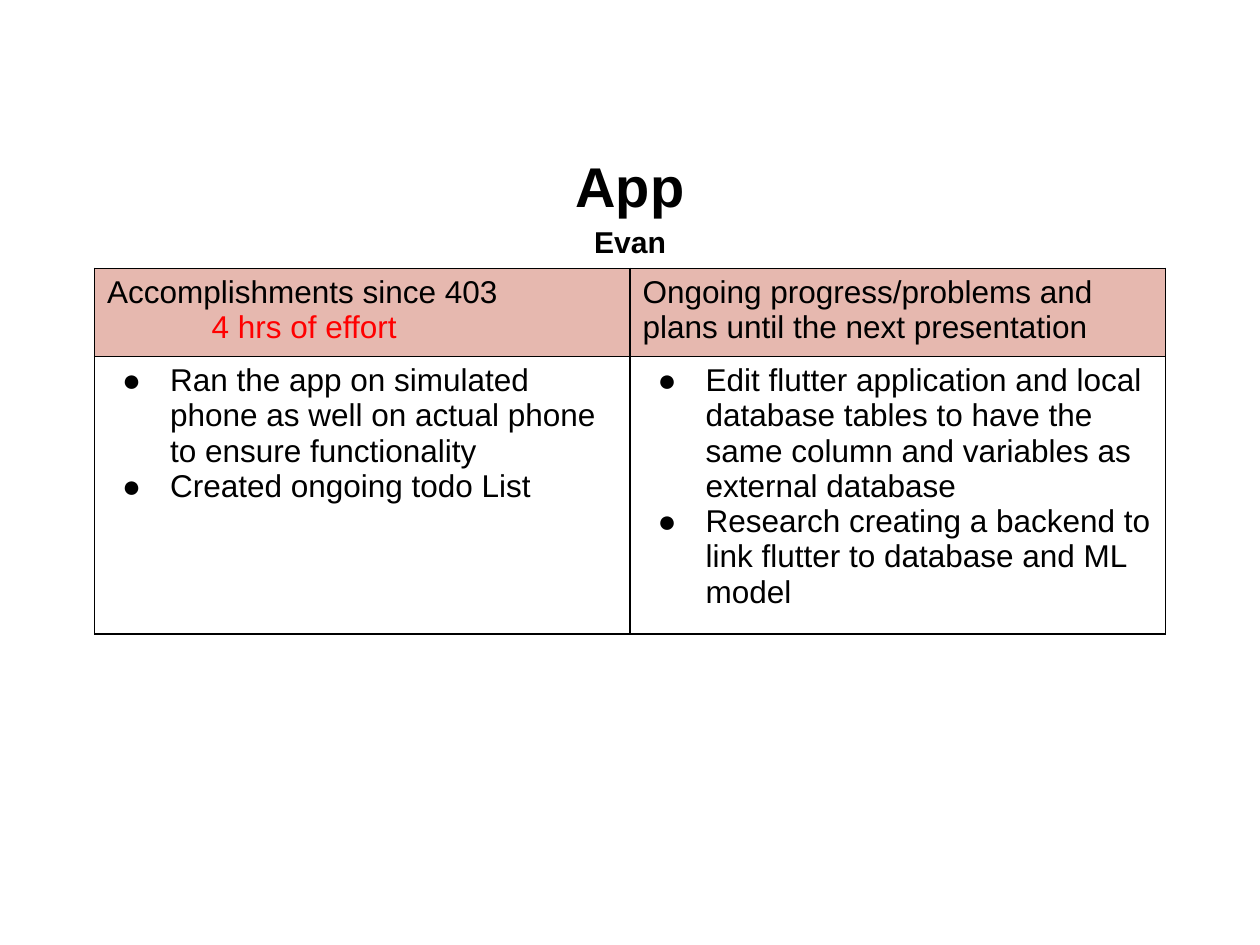
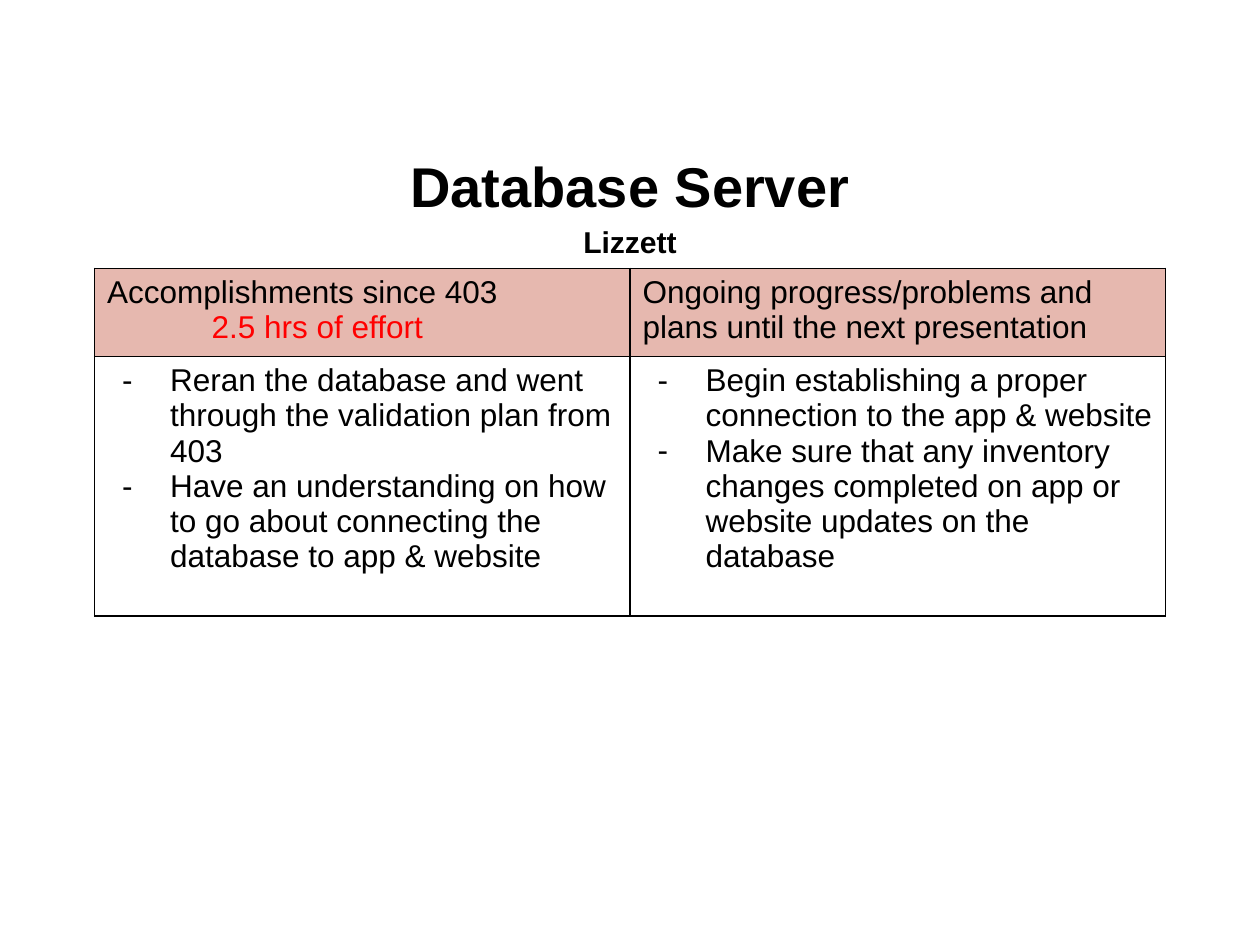
from dataclasses import dataclass

from lxml.etree import SubElement
from pptx import Presentation
from pptx.dml.color import RGBColor
from pptx.enum.text import MSO_ANCHOR, PP_ALIGN
from pptx.oxml.ns import qn
from pptx.slide import Slide
from pptx.table import _Cell
from pptx.text.text import _Paragraph, TextFrame
from pptx.util import Inches, Pt

BLACK = RGBColor(0x00, 0x00, 0x00)
RED = RGBColor(0xFF, 0x00, 0x00)
WHITE = RGBColor(0xFF, 0xFF, 0xFF)
ROSE = RGBColor(0xE6, 0xB8, 0xAF)
FONT = "Arial"
BODY_SIZE = 18
COLUMN_WIDTH = Inches(4.25)
ROW_HEIGHTS = (Inches(0.7), Inches(2.06))
EFFORT_INDENT = Inches(0.83)
BULLET_INDENT = Inches(0.5)
BULLET_HANG = Inches(0.38)
DONE_HEADING = "Accomplishments since 403"
PLANS_HEADING = "Ongoing progress/problems and plans until the next presentation"


@dataclass(frozen=True)
class StatusReport:
    topic: str
    presenter: str
    effort: str
    bullet: str
    done: tuple[str, ...]
    plans: tuple[str, ...]


REPORTS = (
    StatusReport(
        "App", "Evan", "4 hrs of effort", "●",
        done=(
            "Ran the app on simulated phone as well on actual phone to ensure functionality",
            "Created ongoing todo List",
        ),
        plans=(
            "Edit flutter application and local database tables to have the same column "
            "and variables as external database",
            "Research creating a backend to link flutter to database and ML model",
        ),
    ),
    StatusReport(
        "Database Server", "Lizzett", "2.5 hrs of effort", "-",
        done=(
            "Reran the database and went through the validation plan from 403",
            "Have an understanding on how to go about connecting the database to app & website",
        ),
        plans=(
            "Begin establishing a proper connection to the app & website",
            "Make sure that any inventory changes completed on app or website updates "
            "on the database",
        ),
    ),
)


def write_lines(frame: TextFrame, lines: tuple[str, ...]) -> tuple[_Paragraph, ...]:
    frame.text = "\n".join(lines)
    return frame.paragraphs


def style_font(para: _Paragraph, size: float, color: RGBColor = BLACK,
               bold: bool = False) -> None:
    font = para.font
    font.name, font.size, font.bold = FONT, Pt(size), bold
    font.color.rgb = color


def set_indent(para: _Paragraph, left: int, first: int = 0) -> None:
    properties = para._p.get_or_add_pPr()
    properties.set("marL", str(left))
    properties.set("indent", str(first))


def add_bullet(para: _Paragraph, bullet: str) -> None:
    set_indent(para, BULLET_INDENT, -BULLET_HANG)
    properties = para._p.get_or_add_pPr()
    color = SubElement(properties, qn("a:buClr"))
    SubElement(color, qn("a:srgbClr"), val=str(BLACK))
    SubElement(properties, qn("a:buFont"), typeface=FONT)
    SubElement(properties, qn("a:buChar"), char=bullet)


def style_cell(cell: _Cell, fill: RGBColor) -> None:
    """Give the cell thin black borders, then its fill, as the schema orders them."""
    properties = cell._tc.get_or_add_tcPr()
    for side in ("a:lnL", "a:lnR", "a:lnT", "a:lnB"):
        line = SubElement(properties, qn(side), w=str(Pt(1)))
        SubElement(SubElement(line, qn("a:solidFill")), qn("a:srgbClr"), val=str(BLACK))
    cell.fill.solid()
    cell.fill.fore_color.rgb = fill


def add_title(page: Slide, report: StatusReport) -> None:
    box = page.shapes.add_textbox(Inches(0.5), Inches(1.15), Inches(9), Inches(0.88))
    frame = box.text_frame
    frame.word_wrap = True
    frame.vertical_anchor = MSO_ANCHOR.MIDDLE
    lines = write_lines(frame, (report.topic, report.presenter))
    for para, size in zip(lines, (32, 17.2)):
        para.alignment = PP_ALIGN.CENTER
        para.line_spacing = 1.15
        style_font(para, size, bold=True)


def add_status_table(page: Slide, report: StatusReport) -> None:
    table = page.shapes.add_table(2, 2, Inches(0.75), Inches(2.13),
                                  2 * COLUMN_WIDTH, sum(ROW_HEIGHTS)).table
    table.first_row = table.horz_banding = False
    for row, height, fill in zip(table.rows, ROW_HEIGHTS, (ROSE, WHITE)):
        row.height = height
        for cell in row.cells:
            style_cell(cell, fill)

    heading, effort = write_lines(table.cell(0, 0).text_frame, (DONE_HEADING, report.effort))
    style_font(heading, BODY_SIZE)
    set_indent(effort, EFFORT_INDENT)
    style_font(effort, BODY_SIZE, RED)
    (heading,) = write_lines(table.cell(0, 1).text_frame, (PLANS_HEADING,))
    style_font(heading, BODY_SIZE)

    for column, items in enumerate((report.done, report.plans)):
        for para in write_lines(table.cell(1, column).text_frame, items):
            add_bullet(para, report.bullet)
            style_font(para, BODY_SIZE)


def main() -> None:
    deck = Presentation()
    deck.slide_width, deck.slide_height = Inches(10), Inches(7.5)
    blank = deck.slide_layouts[6]
    for report in REPORTS:
        page = deck.slides.add_slide(blank)
        add_title(page, report)
        add_status_table(page, report)
    deck.save("out.pptx")


if __name__ == "__main__":
    main()
